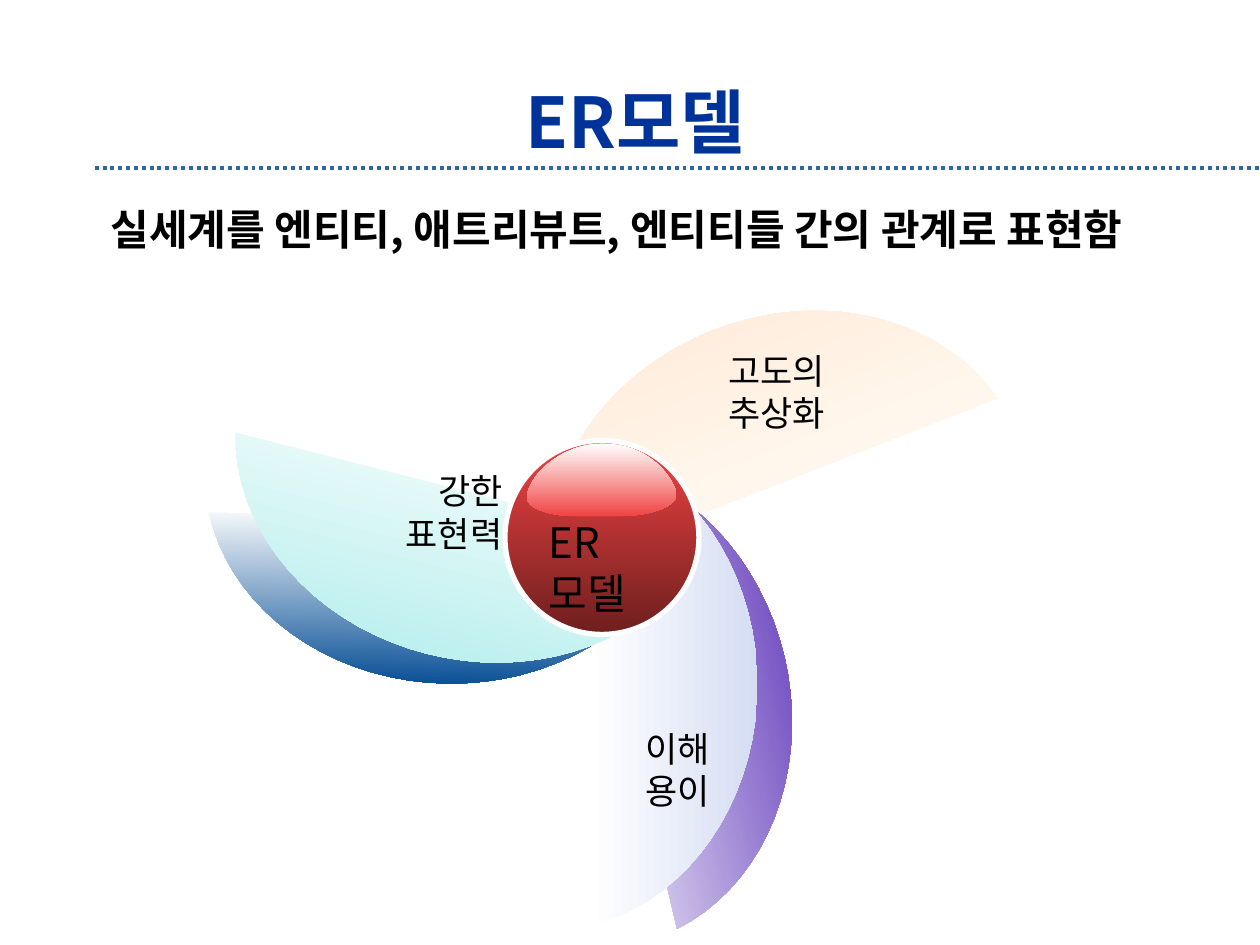
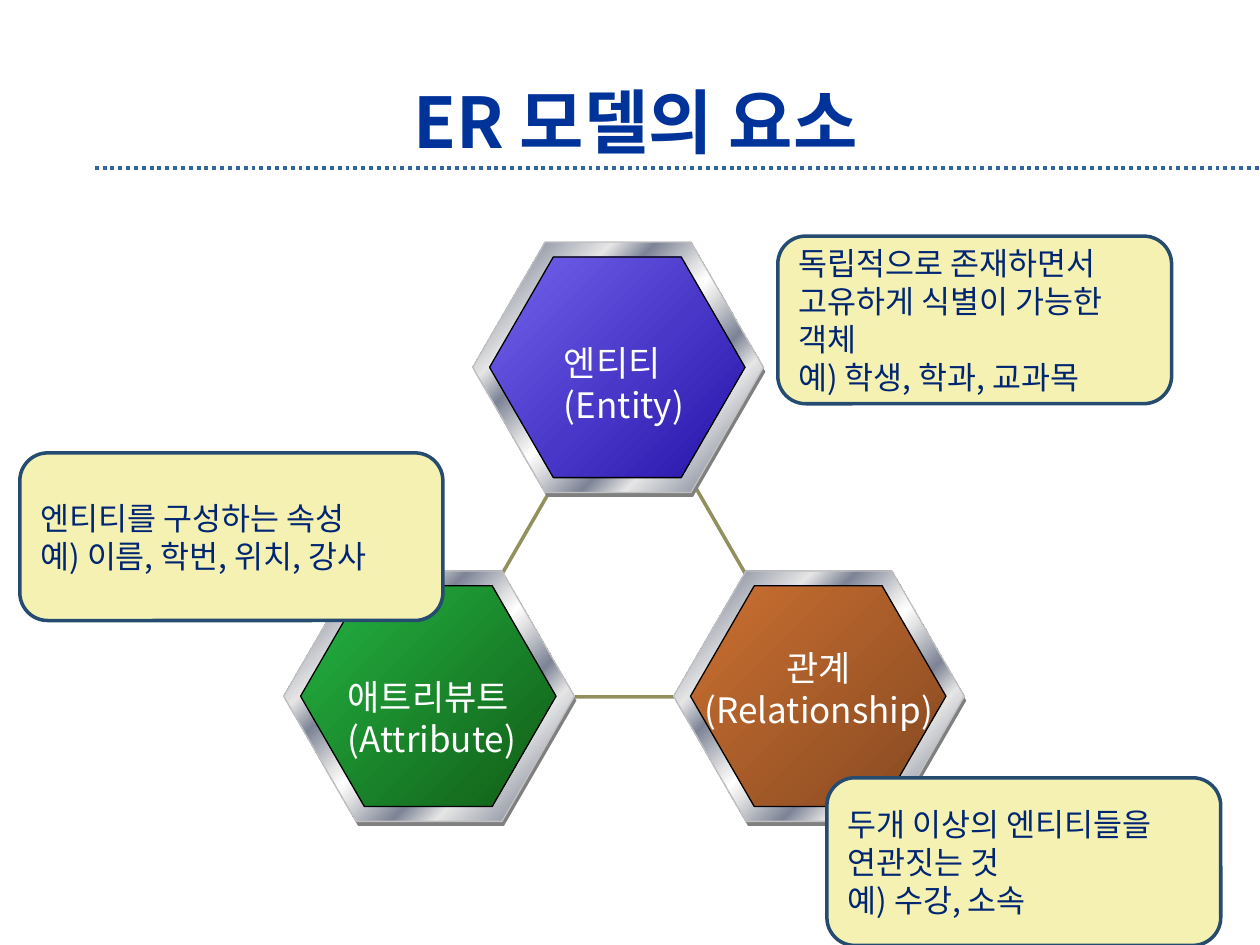
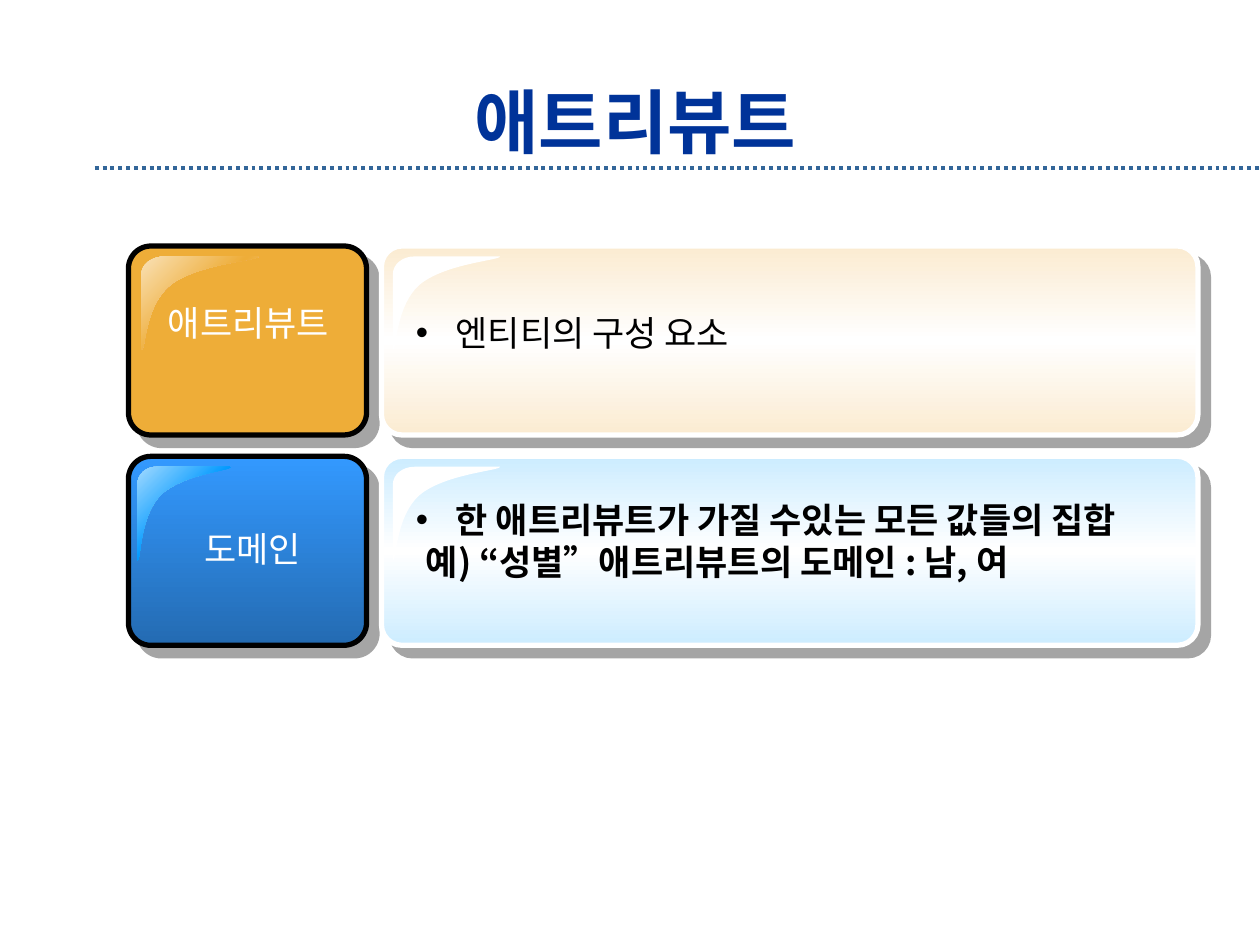
from dataclasses import dataclass
from math import acos, cos, sin

from lxml.etree import SubElement
from pptx import Presentation
from pptx.dml.color import RGBColor
from pptx.enum.dml import MSO_LINE
from pptx.enum.shapes import MSO_CONNECTOR, MSO_SHAPE
from pptx.enum.text import MSO_ANCHOR, MSO_AUTO_SIZE, PP_ALIGN
from pptx.oxml.ns import qn
from pptx.util import Cm, Pt

FONT = "Noto Sans CJK KR"
COLORS = {
    "title": "003399", "rule": "336699", "black": "000000", "white": "FFFFFF",
    "peach": "FFE6CD", "violet": "4516AE", "navy": "004992", "lavender": "D5DDF3",
    "teal": "A2EAE8", "red": "F14343", "maroon": "6E1E1E",
    "triangle": "92915E", "hex_shadow": "808080", "rim": "C0C0C0",
    "silver": "E6E6E6", "steel": "7D8496",
    "entity": "7262EC", "entity_dark": "2614AA", "attribute": "24B443",
    "attribute_dark": "115D16", "relation": "CC7032", "relation_dark": "844820",
    "callout": "F4F1B2", "callout_line": "264B71", "callout_text": "002673",
    "amber": "EEAD38", "amber_light": "F9E1B6", "cream": "FBEBD1",
    "blue": "3399FF", "blue_dark": "246BB2", "sky": "CCECFF",
    "glint_blue": "0099FF", "glint_sky": "A2DAFF", "shadow": "4D4D4D",
}
METAL_STOPS = (0, 8, 26, 34, 46, 50, 54, 66, 74, 92, 100)
METAL = ("silver", "steel", "silver", "steel", "silver", "white",
         "silver", "steel", "silver", "steel", "silver")


@dataclass(frozen=True)
class Box:
    left: float
    top: float
    width: float
    height: float

    def lengths(self) -> tuple:
        return Cm(self.left), Cm(self.top), Cm(self.width), Cm(self.height)


@dataclass(frozen=True)
class Label:
    box: Box
    lines: tuple
    size: int = 20
    color: str = "black"
    align: PP_ALIGN = PP_ALIGN.LEFT
    bold: bool = False


@dataclass(frozen=True)
class Blade:
    left: float
    top: float
    turn: float
    color: str


@dataclass(frozen=True)
class Element:
    left: float
    top: float
    colors: tuple
    label: Label


@dataclass(frozen=True)
class Term:
    tag_colors: tuple
    tag_glint: tuple
    glint_left: float
    glint_width: float
    tag_label: Label
    panel_color: str
    meaning: Label


def rgb(name: str) -> RGBColor:
    return RGBColor.from_string(COLORS[name])


def write(frame, label: Label) -> None:
    frame.word_wrap = True
    frame.text = "\n".join(label.lines)
    for paragraph in frame.paragraphs:
        paragraph.alignment = label.align
        paragraph.space_before = Pt(0)
        for run in paragraph.runs:
            run.font.size = Pt(label.size)
            run.font.bold = label.bold
            run.font.color.rgb = rgb(label.color)
            run.font.name = FONT
            SubElement(run._r.get_or_add_rPr(), qn("a:ea"), typeface=FONT)


def add_label(slide, label: Label) -> None:
    frame = slide.shapes.add_textbox(*label.box.lengths()).text_frame
    write(frame, label)
    frame.auto_size = MSO_AUTO_SIZE.SHAPE_TO_FIT_TEXT


def paint(shape, colors: tuple = (), angle: int = 0, stops: tuple = (),
          line: str = "", line_width: float = 0) -> None:
    shape.shadow.inherit = False
    if not colors:
        shape.fill.background()
    elif len(colors) == 1:
        shape.fill.solid()
        shape.fill.fore_color.rgb = rgb(colors[0])
    else:
        stops = stops or tuple(100 * i / (len(colors) - 1) for i in range(len(colors)))
        shape.fill.gradient()
        shape.fill.gradient_angle = (360 - angle) % 360
        gradient = shape.element.spPr.find(".//" + qn("a:gsLst"))
        gradient.clear()
        for position, color in zip(stops, colors):
            stop = SubElement(gradient, qn("a:gs"), pos=str(int(position * 1000)))
            SubElement(stop, qn("a:srgbClr"), val=COLORS[color])
    if line:
        shape.line.color.rgb = rgb(line)
        shape.line.width = Pt(line_width)
    else:
        shape.line.fill.background()


def cast_shadow(shape) -> None:
    effects = shape.element.spPr.find(qn("a:effectLst"))
    shadow = SubElement(effects, qn("a:outerShdw"), blurRad="0", dist=str(Pt(8.5)),
                        dir="2700000", algn="ctr", rotWithShape="0")
    tint = SubElement(shadow, qn("a:srgbClr"), val=COLORS["shadow"])
    SubElement(tint, qn("a:alpha"), val="50000")


def add_outline(slide, points: list, curve_starts: tuple = ()):
    lengths = [(Cm(x), Cm(y)) for x, y in points]
    builder = slide.shapes.build_freeform(*lengths[0])
    builder.add_line_segments(lengths[1:], close=True)
    shape = builder.convert_to_shape()
    segments = list(shape.element.spPr.iter(qn("a:lnTo")))
    for start in curve_starts:
        bend, *rest = segments[start:start + 3]
        bend.tag = qn("a:cubicBezTo")
        for segment in rest:
            bend.append(segment[0])
            segment.getparent().remove(segment)
    return shape


def new_slide(deck, title: str, layout: int = 5):
    slide = deck.slides.add_slide(deck.slide_layouts[layout])
    heading = slide.shapes.title
    box = Box(1.91, 1.7, 21.8, 1.47)
    heading.left, heading.top, heading.width, heading.height = box.lengths()
    write(heading.text_frame, Label(box, (title,), 40, "title", PP_ALIGN.CENTER, True))
    heading.text_frame.vertical_anchor = MSO_ANCHOR.MIDDLE
    heading.text_frame.auto_size = MSO_AUTO_SIZE.NONE
    return slide


def add_master_rule(deck, slide) -> None:
    rule = slide.shapes.add_connector(MSO_CONNECTOR.STRAIGHT, Cm(1.91), Cm(3.39),
                                      Cm(25.4), Cm(3.39))
    rule.line.color.rgb = rgb("rule")
    rule.line.width = Pt(2.25)
    rule.line.dash_style = MSO_LINE.ROUND_DOT
    SubElement(rule.element.spPr, qn("a:effectLst"))
    rule.element.find(".//" + qn("p:cNvPr")).set("id", "20")
    deck.slide_master.shapes.element.append(rule.element)


BLADE_WIDTH, BLADE_HEIGHT, BLADE_STEPS = 3.36, 9.68, 36
BLADES = (
    Blade(13.31, 3.38, 248.7, "peach"),
    Blade(12.5, 8.79, 346.8, "violet"),
    Blade(7.34, 7.26, 91, "navy"),
    Blade(11.91, 8.97, 0, "lavender"),
    Blade(7.34, 6.71, 104.3, "teal"),
)
MODEL_LABELS = (
    Label(Box(10.81, 10.29, 2.95, 1.12), ("ER모델",), 24),
    Label(Box(6.57, 9.35, 3.81, 0.97), ("강한 표현력",), align=PP_ALIGN.RIGHT),
    Label(Box(14.43, 6.92, 4.42, 0.97), ("고도의 추상화",)),
    Label(Box(11.38, 14.54, 3.18, 0.97), ("이해 용이",), align=PP_ALIGN.RIGHT),
    Label(Box(1.98, 3.98, 22.83, 1.3),
          ("실세계를 엔티티, 애트리뷰트, 엔티티들 간의 관계로 표현함",), 24, bold=True),
)


def add_blade(slide, blade: Blade) -> None:
    half = BLADE_HEIGHT / 2
    reach = acos(0.2)
    angles = [reach * (2 * i / BLADE_STEPS - 1) for i in range(BLADE_STEPS + 1)]
    shape = add_outline(slide, [
        (blade.left + BLADE_WIDTH * (1.25 * cos(a) - 0.25),
         blade.top + half * (1 + sin(a) / sin(reach))) for a in angles])
    paint(shape, ("white", blade.color))
    shape.rotation = blade.turn


def build_model(deck):
    slide = new_slide(deck, "ER모델")
    for blade in BLADES:
        add_blade(slide, blade)
    ball = slide.shapes.add_shape(MSO_SHAPE.OVAL, *Box(10.18, 8.88, 3.91, 3.91).lengths())
    paint(ball, ("red", "maroon"), 90, line="white", line_width=3)
    gloss = add_outline(slide, [
        (10.62, 10.03), (10.67, 9.53), (11.38, 8.94), (12.14, 8.94),
        (12.9, 8.94), (13.46, 9.4), (13.64, 9.93),
        (13.67, 10.26), (12.95, 10.41), (12.45, 10.41),
        (11.71, 10.41), (11.18, 10.41), (10.64, 10.29), (10.62, 10.03),
    ], curve_starts=(0, 3, 6, 10))
    paint(gloss, ("white", "red"), 90)
    for label in MODEL_LABELS:
        add_label(slide, label)
    return slide


ELEMENTS = (
    Element(9.53, 4.88, ("entity", "entity_dark"),
            Label(Box(11.12, 6.75, 2.95, 1.96), ("엔티티", "(Entity)"), color="white")),
    Element(5.72, 11.51, ("attribute", "attribute_dark"),
            Label(Box(6.76, 13.49, 4.06, 1.96), ("애트리뷰트", "(Attribute)"), color="white")),
    Element(13.58, 11.51, ("relation", "relation_dark"),
            Label(Box(13.88, 12.9, 5.26, 1.96), ("관계", "(Relationship)"),
                  color="white", align=PP_ALIGN.CENTER)),
)
CALLOUTS = (
    Label(Box(15.68, 4.76, 7.94, 3.38),
          ("독립적으로 존재하면서 고유하게 식별이 가능한 객체", "예) 학생, 학과, 교과목"),
          18, "callout_text"),
    Label(Box(16.67, 15.68, 7.94, 3.38),
          ("두개 이상의 엔티티들을 연관짓는 것", "예) 수강, 소속"), 18, "callout_text"),
    Label(Box(0.4, 9.13, 8.53, 3.38),
          ("엔티티를 구성하는 속성", "예) 이름, 학번, 위치, 강사"), 18, "callout_text"),
)


def add_hexagon(slide, box: Box):
    hexagon = slide.shapes.add_shape(MSO_SHAPE.HEXAGON, *box.lengths())
    hexagon.adjustments[0] = 0.289
    return hexagon


def add_element(slide, element: Element) -> None:
    left, top = element.left, element.top
    paint(add_hexagon(slide, Box(left + 0.04, top + 0.09, 5.86, 5.05)), ("hex_shadow",))
    paint(add_hexagon(slide, Box(left, top, 5.86, 5.05)), METAL, 45, METAL_STOPS,
          "rim", 0.75)
    paint(add_hexagon(slide, Box(left + 0.34, top + 0.3, 5.15, 4.45)), element.colors, 45,
          line="black", line_width=0.75)


def build_elements(deck) -> None:
    slide = new_slide(deck, "ER 모델의 요소")
    triangle = slide.shapes.add_shape(MSO_SHAPE.ISOSCELES_TRIANGLE,
                                      *Box(8.69, 7.32, 7.77, 6.73).lengths())
    paint(triangle, line="triangle", line_width=2)
    for element in ELEMENTS:
        add_element(slide, element)
    for element in ELEMENTS:
        add_label(slide, element.label)
    for callout in CALLOUTS:
        note = slide.shapes.add_shape(MSO_SHAPE.ROUNDED_RECTANGLE, *callout.box.lengths())
        paint(note, ("callout",), line="callout_line", line_width=2)
        write(note.text_frame, callout)
        note.text_frame.vertical_anchor = MSO_ANCHOR.MIDDLE


ROW_TOP, ROW_PITCH, ROW_HEIGHT = 4.96, 4.24, 3.81
TERMS = (
    Term(("amber",), ("amber_light", "amber", "amber_light"), 2.85, 2.39,
         Label(Box(2.98, 5.95, 4.06, 1.12), ("애트리뷰트",), color="white",
               align=PP_ALIGN.CENTER),
         "cream", Label(Box(8.13, 6.15, 14.78, 1.12), ("엔티티의 구성 요소",))),
    Term(("blue", "blue_dark"), ("glint_sky", "glint_blue", "glint_sky"), 2.77, 1.9,
         Label(Box(3.77, 10.51, 2.64, 1.12), ("도메인",), color="white",
               align=PP_ALIGN.CENTER),
         "sky", Label(Box(8.13, 9.93, 15.67, 1.96),
                      ("한 애트리뷰트가 가질 수있는 모든 값들의 집합",
                       "예) “성별”애트리뷰트의 도메인 : 남, 여"), bold=True)),
)


def add_card(slide, box: Box, corner: float, colors: tuple, line: str) -> None:
    card = slide.shapes.add_shape(MSO_SHAPE.ROUNDED_RECTANGLE, *box.lengths())
    card.adjustments[0] = corner
    paint(card, colors, 90, line=line, line_width=3)
    cast_shadow(card)


def add_glint(slide, box: Box, colors: tuple) -> None:
    outline = ((0.2, 0), (0.09, 0), (0, 0.08), (0, 0.19), (0, 0.99),
               (0.04, 1), (0.02, 0.5), (0.27, 0.28),
               (0.52, 0.07), (1, 0.04), (0.99, 0), (0.2, 0))
    glint = add_outline(slide, [(box.left + x * box.width, box.top + y * box.height)
                                for x, y in outline], curve_starts=(0, 4, 7))
    paint(glint, colors, 45)


def fill_meaning(body, label: Label) -> None:
    body.left, body.top, body.width, body.height = label.box.lengths()
    write(body.text_frame, label)
    body.text_frame.auto_size = MSO_AUTO_SIZE.SHAPE_TO_FIT_TEXT
    for index, paragraph in enumerate(body.text_frame.paragraphs):
        properties = paragraph._p.get_or_add_pPr()
        if index == 0:
            properties.set("marL", str(Cm(0.8)))
            properties.set("indent", str(Cm(-0.8)))
            SubElement(properties, qn("a:buChar"), char="•")
        else:
            properties.set("marL", str(Cm(0.2)))
            properties.set("indent", "0")
            SubElement(properties, qn("a:buNone"))
    body.element.getparent().append(body.element)


def build_attributes(deck) -> None:
    slide = new_slide(deck, "애트리뷰트", layout=3)
    bodies = [slide.placeholders[index] for index in (1, 2)]
    for row, (term, body) in enumerate(zip(TERMS, bodies)):
        top = ROW_TOP + row * ROW_PITCH
        glint_top = top + 0.21
        add_card(slide, Box(2.59, top, 4.8, ROW_HEIGHT), 0.119, term.tag_colors, "black")
        add_glint(slide, Box(term.glint_left, glint_top, term.glint_width, 1.9),
                  term.tag_glint)
        add_label(slide, term.tag_label)
        add_card(slide, Box(7.69, top, 16.46, ROW_HEIGHT), 0.109,
                 (term.panel_color, "white", term.panel_color), "white")
        add_glint(slide, Box(7.92, glint_top, 2.18, 1.9), ("white",))
        fill_meaning(body, term.meaning)


def main() -> None:
    deck = Presentation()
    deck.slide_width, deck.slide_height = Cm(25.4), Cm(19.05)
    add_master_rule(deck, build_model(deck))
    build_elements(deck)
    build_attributes(deck)
    deck.save("out.pptx")


if __name__ == "__main__":
    main()
